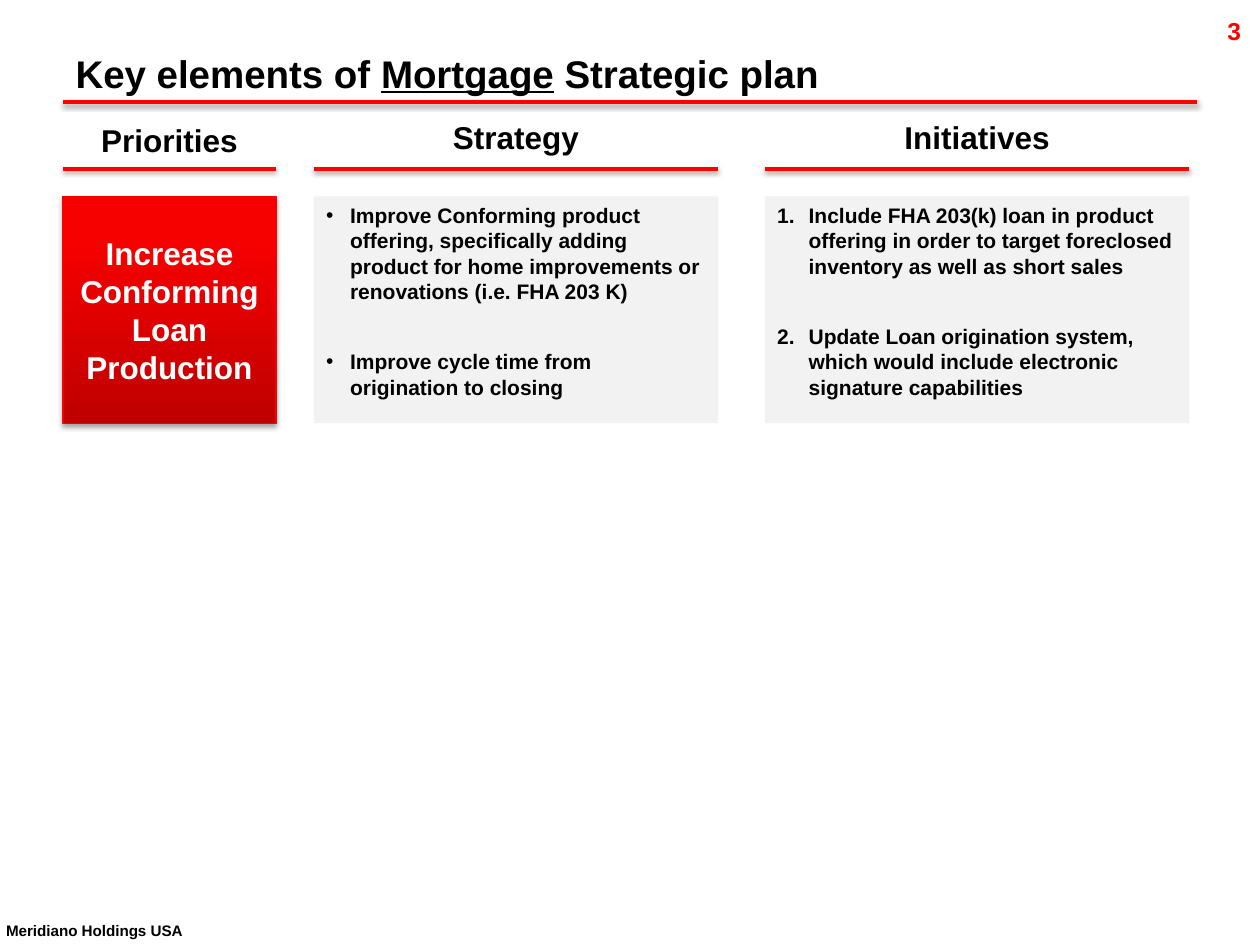
from dataclasses import dataclass

from pptx import Presentation
from pptx.dml.color import RGBColor
from pptx.enum.shapes import MSO_CONNECTOR, MSO_SHAPE
from pptx.enum.text import MSO_ANCHOR, MSO_AUTO_SIZE, PP_ALIGN
from pptx.oxml.ns import qn
from pptx.util import Inches, Pt
from lxml import etree

LEFT, CENTER, RIGHT = PP_ALIGN.LEFT, PP_ALIGN.CENTER, PP_ALIGN.RIGHT
TOP, MIDDLE, BOTTOM = MSO_ANCHOR.TOP, MSO_ANCHOR.MIDDLE, MSO_ANCHOR.BOTTOM
GROW = MSO_AUTO_SIZE.SHAPE_TO_FIT_TEXT
RECTANGLE = MSO_SHAPE.RECTANGLE
STRAIGHT = MSO_CONNECTOR.STRAIGHT

RED, BLACK, WHITE, GRAY = "FF0000", "000000", "FFFFFF", "F2F2F2"
HEADING_HEIGHT, RULE_TOP = 0.4, 1.34
PANEL_TOP, PANEL_HEIGHT = 1.56, 1.8


@dataclass
class Column:
    heading: str
    left: float
    width: float
    heading_left: float
    heading_top: float
    heading_width: float


@dataclass
class ListPanel:
    column: Column
    items: list[str]
    indent: float
    marker: str
    marker_format: dict[str, str]


def color(value: str) -> RGBColor:
    return RGBColor.from_string(value)


def style_font(font, size: float, fill: str = BLACK) -> None:
    for name, value in {"name": "Arial", "size": Pt(size), "bold": True}.items():
        setattr(font, name, value)
    font.color.rgb = color(fill)


def style_frame(frame, **formats) -> None:
    for name, value in formats.items():
        setattr(frame, name, value)


def add_shadow(shape, opacity: int, distance: float) -> None:
    properties = shape._element.spPr
    effects = properties.find(qn("a:effectLst"))
    if effects is None:
        effects = etree.SubElement(properties, qn("a:effectLst"))
    shadow = etree.SubElement(
        effects, qn("a:outerShdw"), blurRad=str(Pt(3.1)), dist=str(Pt(distance)),
        dir="5400000", rotWithShape="0")
    tint = etree.SubElement(shadow, qn("a:srgbClr"), val=BLACK)
    etree.SubElement(tint, qn("a:alpha"), val=str(opacity * 1000))


def add_rule(slide, left: float, right: float, top: float) -> None:
    rule = slide.shapes.add_connector(
        STRAIGHT, Inches(left), Inches(top), Inches(right), Inches(top))
    rule.line.color.rgb = color(RED)
    rule.line.width = Pt(2)
    add_shadow(rule, 38, 1.6)


def add_label(slide, text: str, at: tuple[float, ...], size: float,
              fill: str = BLACK, align=LEFT, **formats):
    box = slide.shapes.add_textbox(*map(Inches, at))
    style_frame(box.text_frame, **{"word_wrap": True, "auto_size": GROW, **formats})
    para = box.text_frame.paragraphs[0]
    para.alignment = align
    span = para.add_run()
    span.text = text
    style_font(span.font, size, fill)
    return span


def add_panel(slide, column: Column):
    panel = slide.shapes.add_shape(
        RECTANGLE, Inches(column.left), Inches(PANEL_TOP),
        Inches(column.width), Inches(PANEL_HEIGHT))
    panel.shadow.inherit = False
    panel.text_frame.word_wrap = True
    return panel


def add_heading(slide, column: Column) -> None:
    at = (column.heading_left, column.heading_top, column.heading_width, HEADING_HEIGHT)
    add_label(slide, column.heading, at, 18, align=CENTER)
    add_rule(slide, column.left, column.left + column.width, RULE_TOP)


def add_priority(slide, column: Column, text: str) -> None:
    panel = add_panel(slide, column)
    panel.fill.gradient()
    panel.fill.gradient_angle = 90
    stops = [(0, "BE0000"), (0.8, "F70000")]
    for stop, (position, tint) in zip(panel.fill.gradient_stops, stops):
        stop.position = position
        stop.color.rgb = color(tint)
    panel.line.color.rgb = color("F90000")
    panel.line.width = Pt(0.75)
    add_shadow(panel, 35, 1.8)
    panel.text_frame.vertical_anchor = MIDDLE
    para = panel.text_frame.paragraphs[0]
    para.text = text
    para.alignment = CENTER
    style_font(para.font, 18, WHITE)


def add_list(slide, content: ListPanel) -> None:
    panel = add_panel(slide, content.column)
    panel.fill.solid()
    panel.fill.fore_color.rgb = color(GRAY)
    panel.line.fill.background()
    frame = panel.text_frame
    frame.vertical_anchor = TOP
    for index, item in enumerate(content.items):
        para = frame.add_paragraph() if index else frame.paragraphs[0]
        para.text = item
        para.alignment = LEFT
        para.space_after = Pt(26)
        properties = para._p.get_or_add_pPr()
        properties.set("marL", str(Inches(content.indent)))
        properties.set("indent", str(-Inches(content.indent)))
        etree.SubElement(properties, qn("a:buFont"), typeface="Arial")
        etree.SubElement(properties, qn(content.marker), content.marker_format)
        style_font(para.font, 12)
    frame.paragraphs[-1].space_after = Pt(6)


def add_title(slide) -> None:
    title = slide.shapes.title
    place = {"left": 0.5, "top": 0.34, "width": 9, "height": 0.47}
    for name, value in place.items():
        setattr(title, name, Inches(value))
    style_frame(title.text_frame, word_wrap=True, auto_size=GROW, vertical_anchor=BOTTOM)
    para = title.text_frame.paragraphs[0]
    para.alignment = LEFT
    for text, underlined in [("Key elements of ", False), ("Mortgage", True),
                             (" Strategic plan", False)]:
        span = para.add_run()
        span.text = text
        style_font(span.font, 22)
        span.font.underline = underlined


def main() -> None:
    deck = Presentation()
    deck.slide_width, deck.slide_height = Inches(10), Inches(7.5)
    slide = deck.slides.add_slide(deck.slide_layouts[5])

    # Page frame: title, rule, page number and footer
    add_title(slide)
    add_rule(slide, 0.5, 9.5, 0.81)
    add_label(slide, "3", (9.55, 0.08, 0.36, 0.34), 14, RED, RIGHT, word_wrap=False,
              margin_left=Inches(0.06), margin_right=Inches(0.06))
    footer = add_label(slide, "Meridiano Holdings USA", (-0.05, 7.24, 1.91, 0.35), 15,
                       word_wrap=False, vertical_anchor=MIDDLE)
    footer.font._element.set("baseline", "30000")

    # Column headings
    priorities = Column("Priorities", 0.5, 1.69, 0.5, 0.91, 1.69)
    strategy = Column("Strategy", 2.49, 3.21, 2.49, 0.89, 3.21)
    initiatives = Column("Initiatives", 6.07, 3.37, 6.15, 0.89, 3.21)
    for column in (priorities, strategy, initiatives):
        add_heading(slide, column)

    # Column contents
    add_priority(slide, priorities, "Increase Conforming Loan Production")
    add_list(slide, ListPanel(strategy, [
        "Improve Conforming product offering, specifically adding product for "
        "home improvements or renovations (i.e. FHA 203 K)",
        "Improve cycle time from origination to closing",
    ], 0.19, "a:buChar", {"char": "•"}))
    add_list(slide, ListPanel(initiatives, [
        "Include FHA 203(k) loan in product offering in order to target "
        "foreclosed inventory as well as short sales",
        "Update Loan origination system, which would include electronic "
        "signature capabilities",
    ], 0.25, "a:buAutoNum", {"type": "arabicPeriod"}))

    deck.save("out.pptx")


if __name__ == "__main__":
    main()
